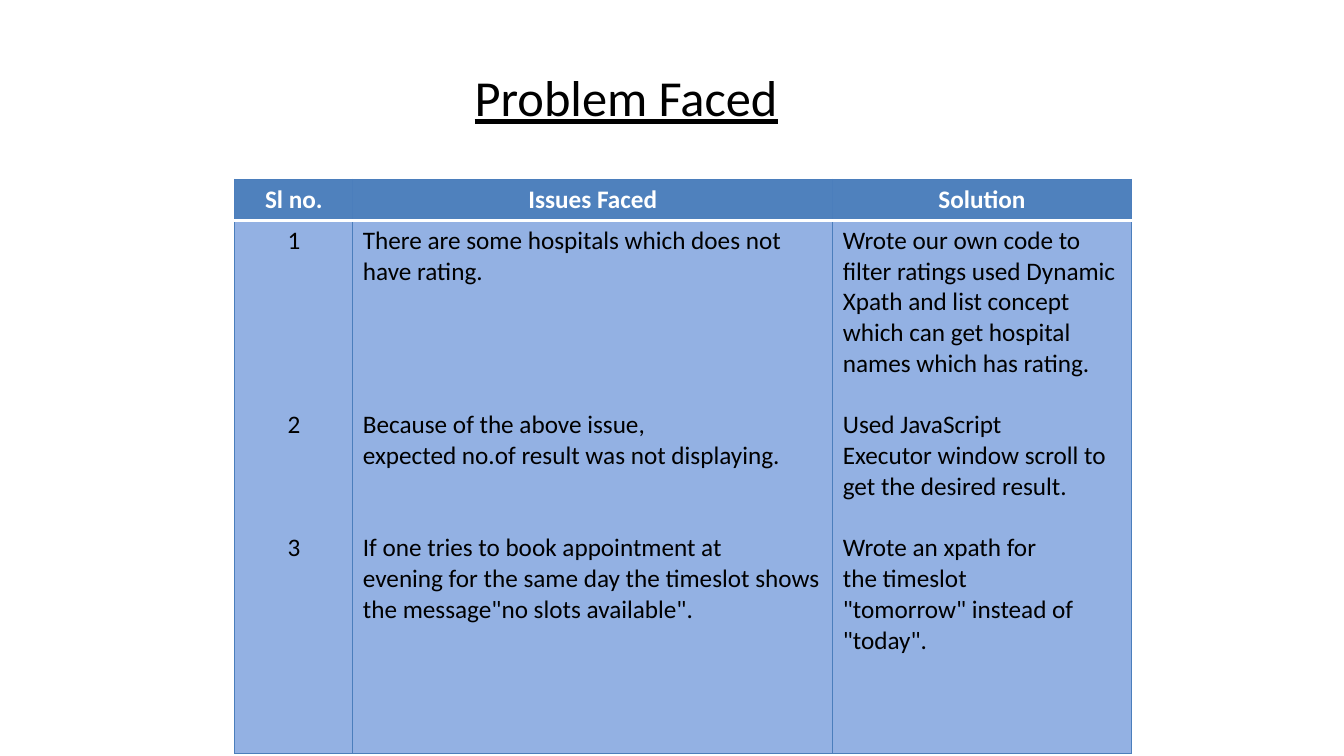
from dataclasses import dataclass

from lxml.etree import SubElement
from pptx import Presentation
from pptx.dml.color import RGBColor
from pptx.enum.text import PP_ALIGN
from pptx.oxml.ns import qn
from pptx.slide import Slide
from pptx.table import _Cell
from pptx.text.text import _Paragraph
from pptx.util import Inches, Pt

SLIDE_WIDTH = Inches(13.33)
SLIDE_HEIGHT = Inches(7.5)
FONT = "Calibri"
BODY_SIZE = 18
TITLE_SIZE = 36
LINE_PITCH = 21.97
TIE = "~"
HARD_SPACE = chr(160)
BLACK = RGBColor(0x00, 0x00, 0x00)
WHITE = RGBColor(0xFF, 0xFF, 0xFF)
HEADER_BLUE = RGBColor(0x4F, 0x81, 0xBD)
BODY_BLUE = RGBColor(0x93, 0xB1, 0xE3)
BORDER_BLUE = RGBColor(0x4B, 0x7E, 0xBC)
ROW_HEIGHTS = (0.4, 5.29)


@dataclass(frozen=True)
class Column:
    heading: str
    width: float
    align: PP_ALIGN
    entries: tuple[str, str, str]
    gap_lines: tuple[int, int, int]


@dataclass(frozen=True)
class Edge:
    tag: str
    color: RGBColor
    points: float


COLUMNS = (
    Column("Sl no.", 1.17, PP_ALIGN.CENTER, ("1", "2", "3"), (0, 5, 3)),
    Column(
        "Issues Faced", 4.76, PP_ALIGN.LEFT,
        (
            "There are some hospitals which does not have rating.",
            "Because of the above issue, expected~no.of~result was not displaying.~",
            "If one tries to book appointment at evening~for the same day "
            "the timeslot shows the~message\"no~slots available\".",
        ),
        (0, 4, 2),
    ),
    Column(
        "Solution", 2.96, PP_ALIGN.LEFT,
        (
            "Wrote our own code to filter ratings used Dynamic Xpath and list "
            "concept which can get hospital names which has rating.",
            "Used JavaScript Executor~window scroll to get the~desired result.",
            "Wrote an xpath for the~timeslot \"tomorrow\"~instead of \"today\".",
        ),
        (0, 1, 1),
    ),
)


def add_run(paragraph: _Paragraph, text: str, size: int, color: RGBColor,
            bold: bool = False, underline: bool = False) -> None:
    run = paragraph.add_run()
    run.text = text.replace(TIE, HARD_SPACE)
    run.font.name = FONT
    run.font.size = Pt(size)
    run.font.color.rgb = color
    run.font.bold = bold
    run.font.underline = underline


def style_cell(cell: _Cell, fill: RGBColor, top: Edge, bottom: Edge) -> None:
    cell.fill.solid()
    cell.fill.fore_color.rgb = fill
    properties = cell._tc.get_or_add_tcPr()
    sides = (Edge("a:lnL", BORDER_BLUE, 0.75), Edge("a:lnR", BORDER_BLUE, 0.75))
    for position, edge in enumerate((*sides, top, bottom)):
        line = SubElement(properties, qn(edge.tag), w=str(Pt(edge.points)))
        SubElement(SubElement(line, qn("a:solidFill")), qn("a:srgbClr"), val=str(edge.color))
        properties.insert(position, line)


def add_title(slide: Slide) -> None:
    title = slide.shapes.add_textbox(
        Inches(4.61), Inches(0.61), Inches(3.82), Inches(0.71))
    title.text_frame.word_wrap = True
    add_run(title.text_frame.paragraphs[0], "Problem Faced", TITLE_SIZE, BLACK, underline=True)


def add_issue_table(slide: Slide) -> None:
    issues = slide.shapes.add_table(
        len(ROW_HEIGHTS), len(COLUMNS), Inches(2.33), Inches(1.78),
        Inches(sum(column.width for column in COLUMNS)), Inches(sum(ROW_HEIGHTS))).table
    issues.horz_banding = False
    for row, height in zip(issues.rows, ROW_HEIGHTS):
        row.height = Inches(height)
    for index, column in enumerate(COLUMNS):
        issues.columns[index].width = Inches(column.width)
        heading, body = issues.cell(0, index), issues.cell(1, index)
        style_cell(heading, HEADER_BLUE, Edge("a:lnT", BORDER_BLUE, 0.75), Edge("a:lnB", WHITE, 2))
        style_cell(body, BODY_BLUE, Edge("a:lnT", WHITE, 2), Edge("a:lnB", BORDER_BLUE, 0.75))
        label = heading.text_frame.paragraphs[0]
        label.alignment = PP_ALIGN.CENTER
        add_run(label, column.heading, BODY_SIZE, WHITE, bold=True)
        for number, (entry, gap) in enumerate(zip(column.entries, column.gap_lines)):
            frame = body.text_frame
            paragraph = frame.add_paragraph() if number else frame.paragraphs[0]
            paragraph.alignment = column.align
            paragraph.space_before = Pt(gap * LINE_PITCH)
            add_run(paragraph, entry, BODY_SIZE, BLACK)


def main() -> None:
    presentation = Presentation()
    presentation.slide_width = SLIDE_WIDTH
    presentation.slide_height = SLIDE_HEIGHT
    slide = presentation.slides.add_slide(presentation.slide_layouts[6])
    add_issue_table(slide)
    add_title(slide)
    presentation.save("out.pptx")


if __name__ == "__main__":
    main()
